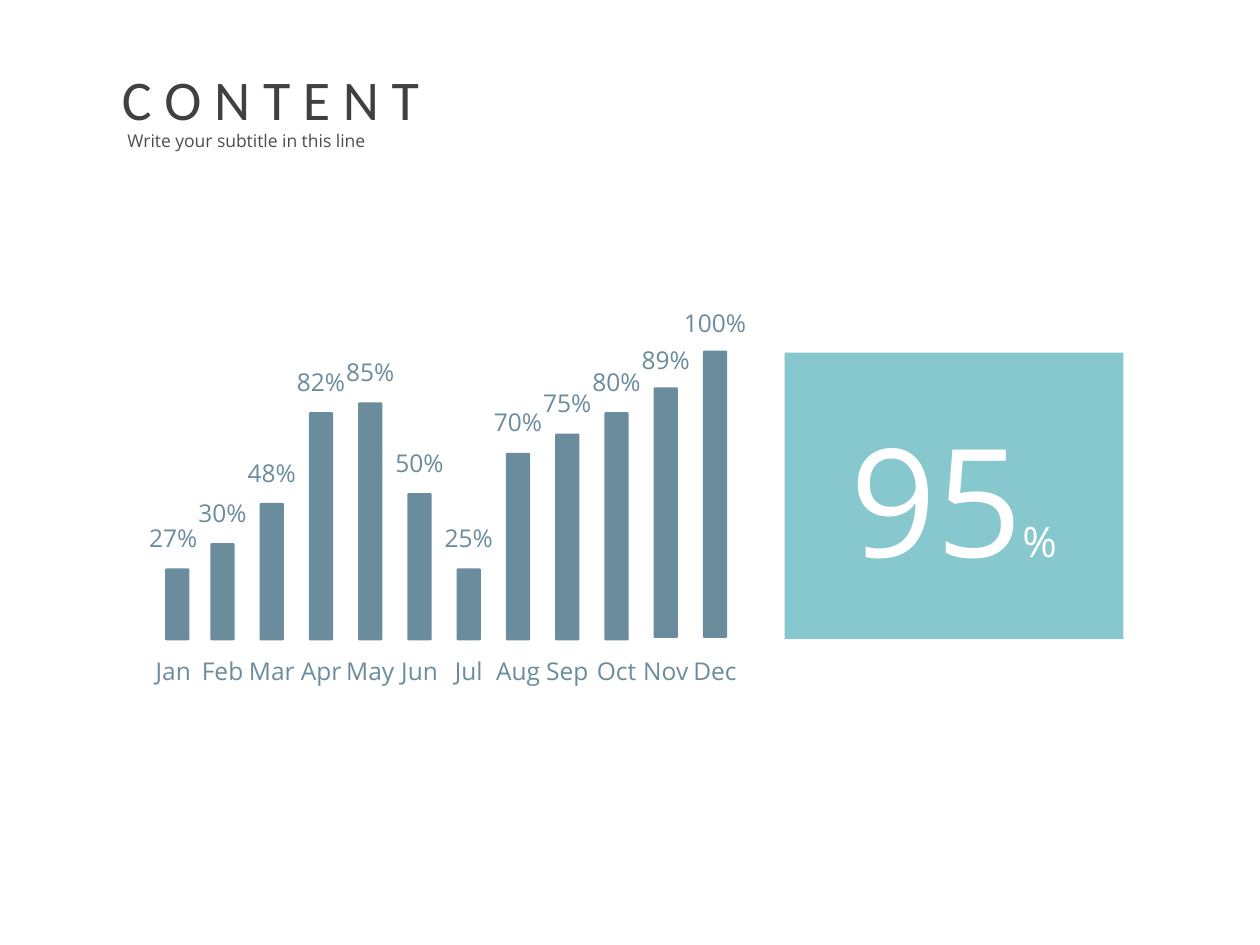
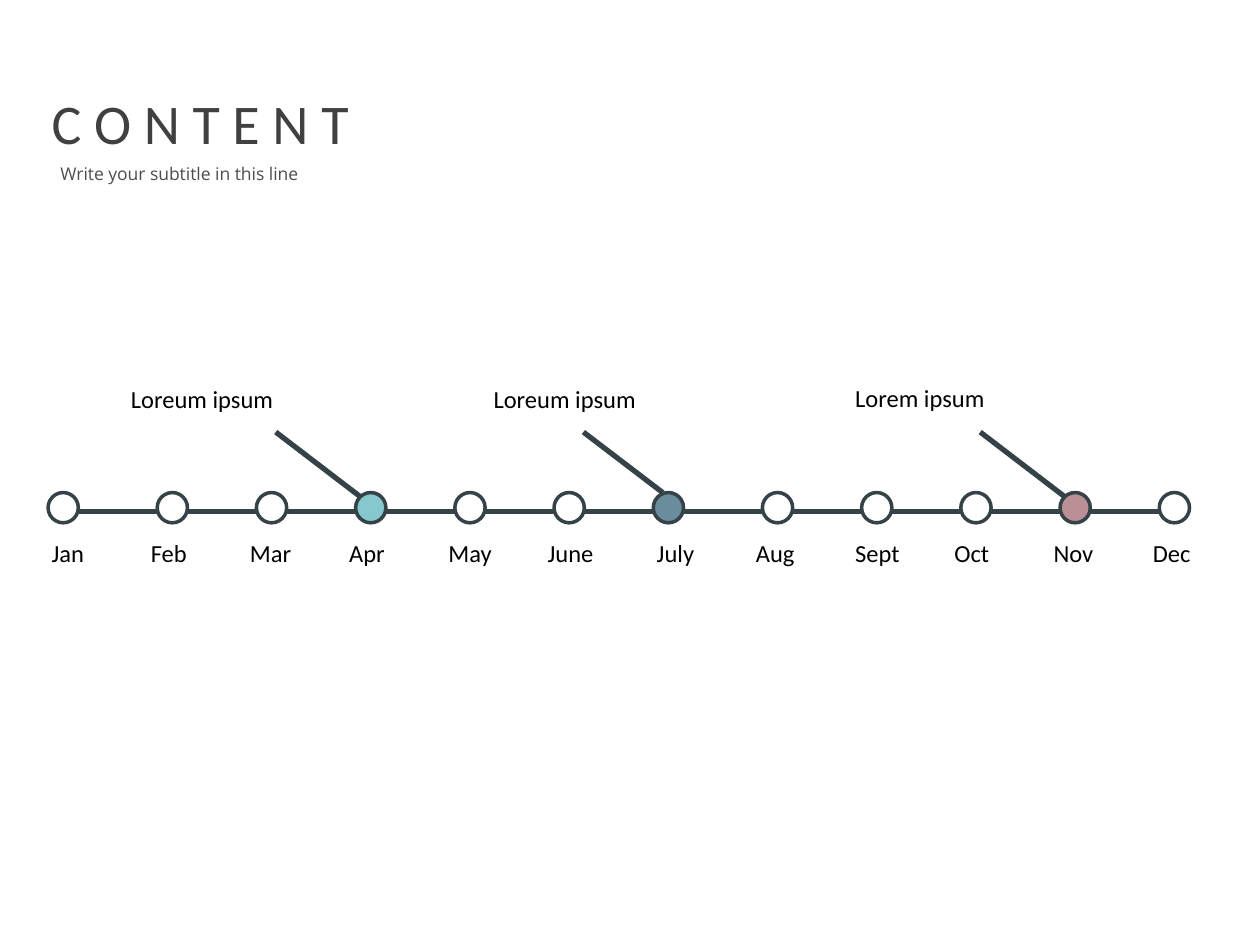
from lxml import etree
from pptx import Presentation
from pptx import util as u
from pptx.dml.color import RGBColor
from pptx.enum import shapes, text
from pptx.oxml import ns

COLORS = {
    "teal": "86C8CE", "blue": "6B8C9C", "rose": "BA8F95", "slate": "354349",
    "title": "404040", "subtitle": "4D4D4D", "black": "000000", "white": "FFFFFF",
}
Cm = u.Cm
SHAPE, ALIGN, ANCHOR = shapes.MSO_SHAPE, text.PP_ALIGN, text.MSO_ANCHOR


def add_text(s, runs, x, y, w, h, font="Calibri", color="black", align=ALIGN.LEFT,
             anchor=ANCHOR.TOP, inset=(0.25, 0.13), wrap=True, grow=False):
    """Add a text box of one line; runs are (text, size) pairs, lengths are in cm."""
    tf = s.shapes.add_textbox(Cm(x), Cm(y), Cm(w), Cm(h)).text_frame
    tf.word_wrap = wrap
    tf.auto_size = text.MSO_AUTO_SIZE.SHAPE_TO_FIT_TEXT if grow else text.MSO_AUTO_SIZE.NONE
    tf.vertical_anchor = anchor
    tf.margin_left = tf.margin_right = Cm(inset[0])
    tf.margin_top = tf.margin_bottom = Cm(inset[1])
    p = tf.paragraphs[0]
    p.alignment = align
    for content, size in runs:
        r = p.add_run()
        r.text = content
        r.font.size = u.Pt(size)
        r.font.name = font
        r.font.color.rgb = RGBColor.from_string(COLORS[color])


def add_shape(s, kind, x, y, w, h, fill, line=None):
    """Add a flat preset shape, with a 2 pt outline if a line colour is given."""
    sp = s.shapes.add_shape(kind, Cm(x), Cm(y), Cm(w), Cm(h))
    sp.shadow.inherit = False
    sp.fill.solid()
    sp.fill.fore_color.rgb = RGBColor.from_string(COLORS[fill])
    if line:
        sp.line.color.rgb = RGBColor.from_string(COLORS[line])
        sp.line.width = u.Pt(2)
    else:
        sp.line.fill.background()
    return sp


prs = Presentation()
prs.slide_width, prs.slide_height = Cm(25.4), Cm(19.05)

# Both slides carry the same heading, at their own places
headings = [((2.21, 1.17), (2.57, 2.62)), ((0.79, 1.65), (1.22, 3.28))]
slides = []
for title_at, subtitle_at in headings:
    s = prs.slides.add_slide(prs.slide_layouts[6])
    add_text(s, [("C O N T E N T", 32)], *title_at, 6.58, 1.63,
             color="title", wrap=False, grow=True)
    add_text(s, [("Write your subtitle in this line", 10)], *subtitle_at, 5.31, 0.58,
             font="Open Sans", color="subtitle", inset=(0, 0))
    slides.append(s)
bar_slide, timeline_slide = slides

# Slide 1: monthly bars (month, percentage, bar height)
s = bar_slide
bars = [
    ("Jan", 27, 1.45), ("Feb", 30, 1.96), ("Mar", 48, 2.77), ("Apr", 82, 4.6),
    ("May", 85, 4.8), ("Jun", 50, 2.97), ("Jul", 25, 1.45), ("Aug", 70, 3.78),
    ("Sep", 75, 4.17), ("Oct", 80, 4.6), ("Nov", 89, 5.05), ("Dec", 100, 5.79),
]
pitch = 10.92 / (len(bars) - 1)
label = dict(font="Open Sans", color="blue", align=ALIGN.CENTER, wrap=False)
for i, (month, percent, height) in enumerate(bars):
    x = 2.82 + i * pitch
    base, gap = (12.86, 0.89) if i >= 10 else (12.91, 0.95)
    top = base - height
    bar_x = x + (0.51 if i == 0 else 0.43)
    bar = add_shape(s, SHAPE.ROUNDED_RECTANGLE, bar_x, top, 0.49, height, "blue")
    bar.adjustments[0] = 0.06
    add_text(s, [(month, 14)], x, 13.13, 1.35, 0.66, inset=(0.1, 0.1), **label)
    add_text(s, [(f"{percent}%", 14)], x, top - gap, 1.35, 0.66,
             inset=(0.05, 0.05), anchor=ANCHOR.MIDDLE, **label)

add_shape(s, SHAPE.RECTANGLE, 15.82, 7.11, 6.83, 5.77, "teal")
add_text(s, [("95", 86), ("%", 24)], 17.09, 8.15, 4.27, 3.76, font="Open Sans",
         color="white", inset=(0.05, 0.05), wrap=False, grow=True)

# Slide 2: timeline axis and leaders (x1, y1, x2, y2, width)
s = timeline_slide
lines = [
    (1.27, 10.31, 23.88, 10.31, 3.25),
    (5.56, 8.71, 7.26, 10.01, 3),
    (11.76, 8.71, 13.36, 9.93, 3),
    (19.76, 8.71, 21.46, 10.01, 3),
]
for x1, y1, x2, y2, width in lines:
    c = s.shapes.add_connector(shapes.MSO_CONNECTOR.STRAIGHT, Cm(x1), Cm(y1), Cm(x2), Cm(y2))
    c.line.color.rgb = RGBColor.from_string(COLORS["slate"])
    c.line.width = u.Pt(width)
    etree.SubElement(c._element.spPr, ns.qn("a:effectLst"))

months = ["Jan", "Feb", "Mar", "Apr", "May", "June",
          "July", "Aug", "Sept", "Oct", "Nov", "Dec"]
highlights = {"Apr": "teal", "July": "blue", "Nov": "rose"}
for i, month in enumerate(months):
    # Dots are 2 cm apart, with 0.2 cm more after January and after July
    dot_x = 0.97 + 2 * i + 0.2 * (i > 0) + 0.2 * (i > 6)
    add_shape(s, SHAPE.OVAL, dot_x, 9.93, 0.61, 0.61,
              highlights.get(month, "white"), line="slate")
    add_text(s, [(month, 14)], 0.79 + 2 * i + 0.2 * (i > 5), 10.72, 1.6, 0.86, grow=True)

for caption, x, y in [("Loreum ipsum", 2.39, 7.62), ("Loreum ipsum", 9.7, 7.62),
                      ("Lorem ipsum", 16.99, 7.59)]:
    add_text(s, [(caption, 14)], x, y, 4.6, 0.86, grow=True)

prs.save("out.pptx")
